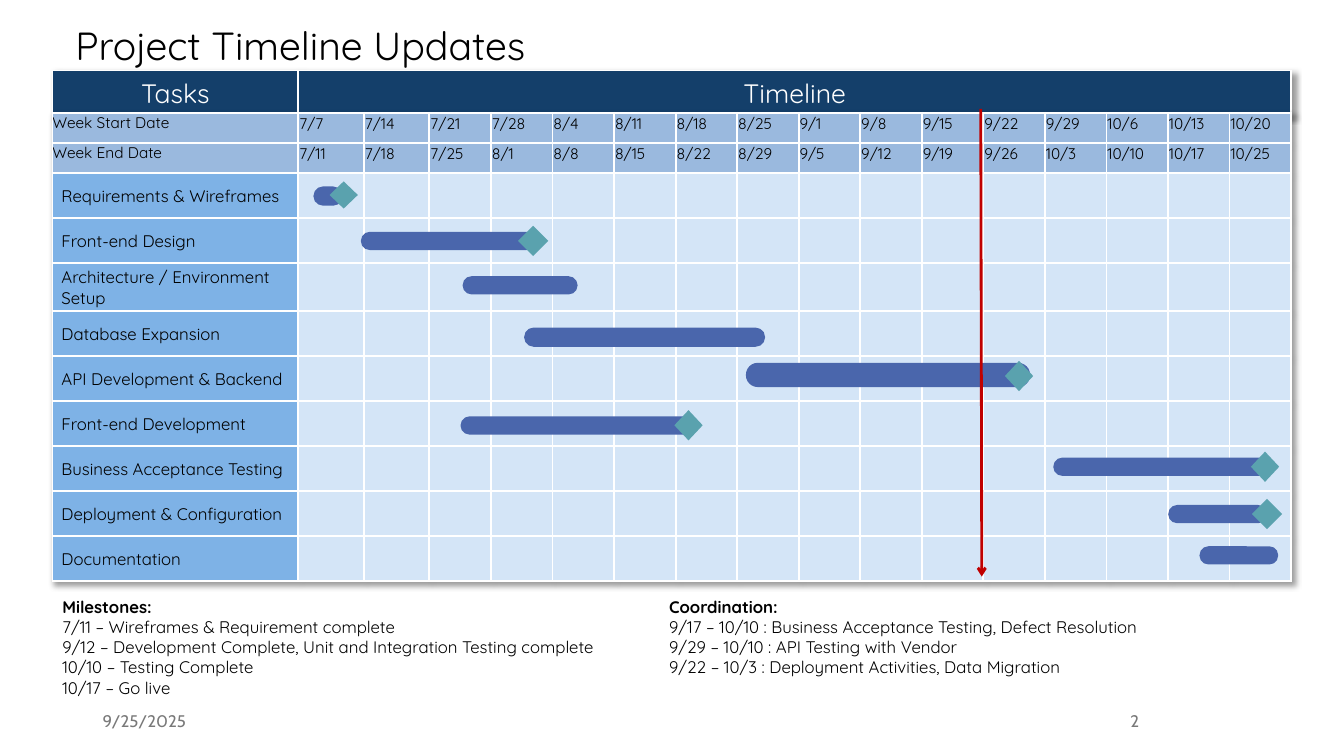
"""Build a one-slide project timeline with a Gantt grid, milestones and coordination notes."""
from dataclasses import dataclass
from typing import Optional

from lxml.etree import SubElement
from pptx import Presentation
from pptx.dml.color import RGBColor
from pptx.enum.shapes import MSO_CONNECTOR, MSO_SHAPE
from pptx.enum.text import MSO_ANCHOR, PP_ALIGN
from pptx.oxml import parse_xml
from pptx.oxml.ns import nsdecls, qn
from pptx.util import Pt


@dataclass(frozen=True)
class Theme:
    font: str = "Quicksand"
    footer_font: str = "Cabin"
    ink: str = "000000"
    white: str = "FFFFFF"
    gray: str = "797979"
    header: str = "143F6A"
    week: str = "9AB9DE"
    task: str = "7EB2E6"
    grid: str = "D4E5F7"
    bar: str = "4A66AC"
    milestone: str = "5AA2AE"
    today: str = "C00000"
    title_size: float = 28
    header_size: float = 19
    body_size: float = 12
    week_size: float = 11


@dataclass(frozen=True)
class Box:
    x: float
    y: float
    w: float
    h: float


@dataclass(frozen=True)
class Task:
    name: str
    bar: Box
    milestone: Optional[Box] = None
    row_height: float = 32.15


@dataclass(frozen=True)
class Note:
    box: Box
    heading: str
    lines: tuple[str, ...]


T = Theme()
TABLE_X, HEADER_Y, GRID_Y = 37.44, 50.4, 80.64
TASK_W, WEEK_H = 175.68, 21.4
WEEK_WIDTHS = [46.8] * 2 + [43.97] * 14
STARTS = "7/7 7/14 7/21 7/28 8/4 8/11 8/18 8/25 9/1 9/8 9/15 9/22 9/29 10/6 10/13 10/20".split()
ENDS = "7/11 7/18 7/25 8/1 8/8 8/15 8/22 8/29 9/5 9/12 9/19 9/26 10/3 10/10 10/17 10/25".split()
TASKS = [
    Task("Requirements & Wireframes", Box(223.9, 133.2, 20.9, 13.7), Box(235.4, 129.6, 20.2, 19.4)),
    Task("Front-end Design", Box(257.8, 165.6, 124.6, 13), Box(370.1, 161.3, 21.6, 21.6)),
    Task("Architecture / Environment Setup", Box(330.5, 197.3, 82.1, 13), row_height=34.6),
    Task("Database Expansion", Box(374.4, 234, 172.1, 13.7)),
    Task("API Development & Backend", Box(532.8, 259.2, 203, 17.3), Box(717.8, 257.8, 20.2, 21.6)),
    Task("Front-end Development", Box(329, 297.4, 165.6, 13), Box(481.7, 293, 20.2, 21.6)),
    Task("Business Acceptance Testing", Box(752.4, 326.9, 155.5, 13), Box(893.5, 322.6, 20.2, 21.6)),
    Task("Deployment & Configuration", Box(834.5, 360.7, 70.6, 13), Box(894.2, 356.4, 21.6, 21.6)),
    Task("Documentation", Box(856.8, 390.2, 56.2, 13)),
]
MILESTONES = Note(Box(37.44, 422.64, 426.24, 79.92), "Milestones:", (
    "7/11 – Wireframes & Requirement complete",
    "9/12 – Development Complete, Unit and Integration Testing complete",
    "10/10 – Testing Complete",
    "10/17 – Go live",
))
COORDINATION = Note(Box(470.88, 422.64, 444.96, 79.92), "Coordination:", (
    "9/17 – 10/10 : Business Acceptance Testing, Defect Resolution",
    "9/29 – 10/10 : API Testing with Vendor",
    "9/22 – 10/3 : Deployment Activities, Data Migration",
))


def rgb(color: str) -> RGBColor:
    return RGBColor.from_string(color)


def write(p, text: str, *, size: float = T.body_size, color: str = T.ink, font: str = T.font,
          bold: bool = False, align=PP_ALIGN.LEFT, spacing: Optional[float] = None) -> None:
    p.alignment = align
    if spacing:
        p.line_spacing = spacing
    r = p.add_run()
    r.text = text
    r.font.size, r.font.name, r.font.bold = Pt(size), font, bold
    r.font.color.rgb = rgb(color)


def add_text(s, box: Box, anchor=MSO_ANCHOR.MIDDLE):
    sp = s.shapes.add_textbox(Pt(box.x), Pt(box.y), Pt(box.w), Pt(box.h))
    sp.text_frame.word_wrap = True
    sp.text_frame.vertical_anchor = anchor
    return sp


def add_filled(s, kind, box: Box, color: str):
    sp = s.shapes.add_shape(kind, Pt(box.x), Pt(box.y), Pt(box.w), Pt(box.h))
    sp.shadow.inherit = False
    sp.fill.solid()
    sp.fill.fore_color.rgb = rgb(color)
    sp.line.fill.background()
    return sp


def add_grid(s, y: float, widths: list[float], heights: list[float]):
    frame = s.shapes.add_table(len(heights), len(widths), Pt(TABLE_X), Pt(y),
                               Pt(sum(widths)), Pt(sum(heights)))
    table = frame.table
    table.first_row = table.horz_banding = False
    for column, width in zip(table.columns, widths):
        column.width = Pt(width)
    for row, height in zip(table.rows, heights):
        row.height = Pt(height)
    table._tbl.tblPr.insert(0, parse_xml(
        f'<a:effectLst {nsdecls("a")}><a:outerShdw blurRad="50800" dist="38100" dir="2700000" '
        'algn="tl" rotWithShape="0"><a:srgbClr val="000000"><a:alpha val="40000"/>'
        '</a:srgbClr></a:outerShdw></a:effectLst>'))
    return table


def style_cell(cell, fill: str, insets: tuple[float, ...], anchor=MSO_ANCHOR.TOP) -> None:
    tcPr = cell._tc.get_or_add_tcPr()
    for side in "LRTB":
        ln = SubElement(tcPr, qn(f"a:ln{side}"), w=str(Pt(1.5)))
        SubElement(SubElement(ln, qn("a:solidFill")), qn("a:srgbClr"), val=T.white)
    cell.fill.solid()
    cell.fill.fore_color.rgb = rgb(fill)
    cell.margin_left, cell.margin_top, cell.margin_right, cell.margin_bottom = map(Pt, insets)
    cell.vertical_anchor = anchor


def add_header(s) -> None:
    table = add_grid(s, HEADER_Y, [TASK_W, sum(WEEK_WIDTHS)], [30.96])
    for cell, text in zip(table.rows[0].cells, ("Tasks", "Timeline")):
        style_cell(cell, T.header, (7.92, 4.32, 7.92, 4.32))
        write(cell.text_frame.paragraphs[0], text, size=T.header_size, color=T.white,
              align=PP_ALIGN.CENTER)


def add_schedule(s) -> None:
    table = add_grid(s, GRID_Y, [TASK_W] + WEEK_WIDTHS, [WEEK_H] * 2 + [t.row_height for t in TASKS])
    weeks = [["Week Start Date"] + STARTS, ["Week End Date"] + ENDS]
    for i, texts in enumerate(weeks):
        for j, text in enumerate(texts):
            cell = table.cell(i, j)
            style_cell(cell, T.week, (0.72, 0.72, 0.72, 0) if j else (0, 0, 0, 0))
            write(cell.text_frame.paragraphs[0], text, size=T.week_size)
    for i, task in enumerate(TASKS, len(weeks)):
        label, *days = table.rows[i].cells
        style_cell(label, T.task, (6.48, 0.72, 0.72, 0), MSO_ANCHOR.MIDDLE)
        write(label.text_frame.paragraphs[0], task.name)
        for day in days:
            style_cell(day, T.grid, (7.2, 3.6, 7.2, 3.6))


def add_task_marks(s, task: Task) -> None:
    sp = add_filled(s, MSO_SHAPE.ROUNDED_RECTANGLE, task.bar, T.bar)
    sp.adjustments[0] = 0.49
    if task.milestone:
        add_filled(s, MSO_SHAPE.FLOWCHART_DECISION, task.milestone, T.milestone)


def add_today(s) -> None:
    line = s.shapes.add_connector(MSO_CONNECTOR.STRAIGHT, Pt(700.56), Pt(77.76), Pt(701.28), Pt(411.84))
    line.line.color.rgb = rgb(T.today)
    line.line.width = Pt(2)
    SubElement(line.line._get_or_add_ln(), qn("a:tailEnd"), type="arrow")
    SubElement(line._element.spPr, qn("a:effectLst"))


def add_note(s, note: Note, fill: Optional[str] = None) -> None:
    sp = add_text(s, note.box, MSO_ANCHOR.TOP)
    if fill:
        sp.fill.solid()
        sp.fill.fore_color.rgb = rgb(fill)
    tf = sp.text_frame
    write(tf.paragraphs[0], note.heading, bold=True)
    for text in note.lines:
        write(tf.add_paragraph(), text)


def main() -> None:
    prs = Presentation()
    prs.slide_width, prs.slide_height = Pt(960), Pt(540)
    s = prs.slides.add_slide(prs.slide_layouts[6])
    title = add_text(s, Box(46.8, 15.12, 828, 38.16))
    write(title.text_frame.paragraphs[0], "Project Timeline Updates", size=T.title_size, spacing=0.9)
    footers = ((Box(66.24, 500.4, 216, 28.8), "9/25/2025", PP_ALIGN.LEFT),
               (Box(678.24, 500.4, 142.56, 28.8), "2", PP_ALIGN.RIGHT))
    for box, text, align in footers:
        p = add_text(s, box).text_frame.paragraphs[0]
        write(p, text, color=T.gray, font=T.footer_font, align=align)
    add_header(s)
    add_schedule(s)
    for task in TASKS:
        add_task_marks(s, task)
    add_note(s, MILESTONES, T.white)
    add_today(s)
    add_note(s, COORDINATION)
    prs.save("out.pptx")


if __name__ == "__main__":
    main()
